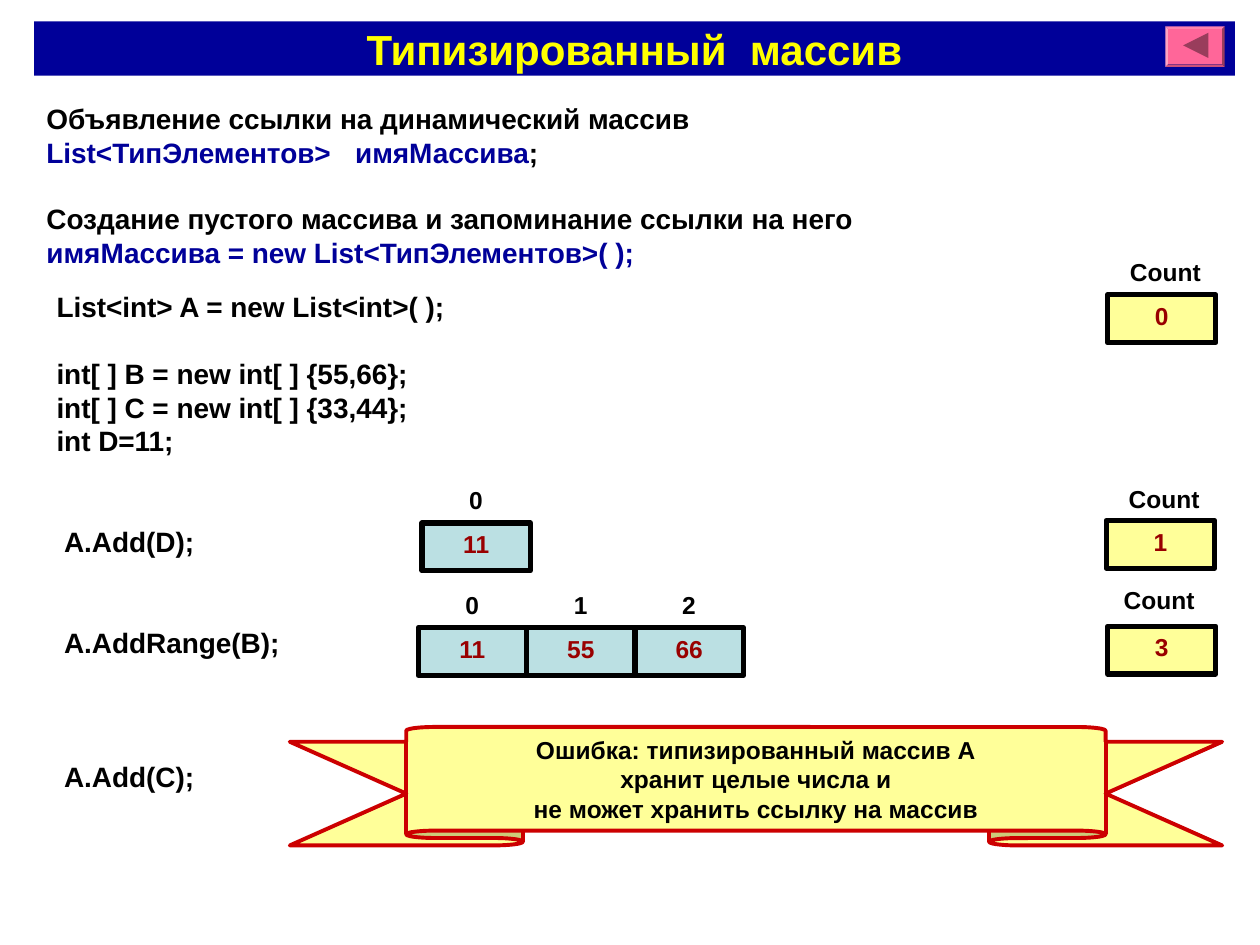
"""Build the slide about a typed dynamic array and its operations."""
from pptx import Presentation
from pptx.dml.color import RGBColor
from pptx.enum.shapes import MSO_SHAPE
from pptx.enum.text import MSO_ANCHOR, MSO_AUTO_SIZE, PP_ALIGN
from pptx.oxml.ns import qn
from pptx.util import Inches, Pt
from lxml import etree

RECTANGLE = MSO_SHAPE.RECTANGLE
BEVEL = MSO_SHAPE.BEVEL
TRIANGLE = MSO_SHAPE.ISOSCELES_TRIANGLE
RIBBON = MSO_SHAPE.UP_RIBBON
TOP, MIDDLE = MSO_ANCHOR.TOP, MSO_ANCHOR.MIDDLE
LEFT, CENTER = PP_ALIGN.LEFT, PP_ALIGN.CENTER

BLACK = RGBColor(0x00, 0x00, 0x00)
NAVY = RGBColor(0x00, 0x00, 0x99)
YELLOW = RGBColor(0xFF, 0xFF, 0x00)
PALE_YELLOW = RGBColor(0xFF, 0xFF, 0x99)
PALE_BLUE = RGBColor(0xBB, 0xE0, 0xE3)
DARK_RED = RGBColor(0x99, 0x00, 0x00)
RED = RGBColor(0xCC, 0x00, 0x00)
PINK = RGBColor(0xFF, 0x66, 0x99)
PLUM = RGBColor(0x99, 0x3D, 0x5C)

FONT = "Arial"
CODE_SIZE, LABEL_SIZE = 16, 14
CODE_LINE = 19.15
CODE_INDENT = 0.06
CELL_WIDTH, CELL_HEIGHT = 0.86, 0.38
INSET = 0.1

TITLE = "Типизированный  массив"
EXPLANATIONS = [
    (0.76, [[("Объявление ссылки на динамический массив", BLACK)],
            [("List<ТипЭлементов>\tимяМассива", NAVY), (";", BLACK)]]),
    (1.55, [[("Создание пустого массива и запоминание ссылки на него", BLACK)],
            [("имяМассива = new List<ТипЭлементов>( );", NAVY)]]),
]
CODE = [
    ("List<int> A = new List<int>( );", 0, False),
    ("int[ ] B = new int[ ] {55,66};", 1, False),
    ("int[ ] C = new int[ ] {33,44};", 0, False),
    ("int D=11;", 0, False),
    ("A.Add(D);", 2, True),
    ("A.AddRange(B);", 2, True),
    ("A.Add(C);", 3, True),
]
STATES = [
    {"values": ["11"], "array": (3.35, 4.15), "count": (8.78, 4.13), "label": (8.86, 3.79)},
    {"values": ["11", "55", "66"], "array": (3.32, 4.98), "count": (8.79, 4.97), "label": (8.82, 4.59)},
    {"values": [], "array": None, "count": (8.79, 2.34), "label": (8.87, 1.99)},
]
ERROR = ["Ошибка: типизированный массив A", "хранит целые числа и",
         "не может хранить ссылку на массив"]


def write(shape, lines, size, align=LEFT, anchor=TOP, wrap=True):
    """Fill a shape with lines, each a list of (text, colour) runs."""
    frame = shape.text_frame
    frame.word_wrap = wrap
    frame.vertical_anchor = anchor
    frame.auto_size = MSO_AUTO_SIZE.NONE
    for index, runs in enumerate(lines):
        paragraph = frame.paragraphs[0] if index == 0 else frame.add_paragraph()
        paragraph.alignment = align
        for text, color in runs:
            run = paragraph.add_run()
            run.text = text
            run.font.name = FONT
            run.font.size = Pt(size)
            run.font.bold = True
            run.font.color.rgb = color
    return frame.paragraphs


def add_text(shapes, box, lines, size, wrap=True):
    """Add a text box and return its paragraphs."""
    return write(shapes.add_textbox(*map(Inches, box)), lines, size, wrap=wrap)


def add_figure(shapes, kind, box, fill, line=None, line_width=0):
    """Add a filled preset shape with an optional outline."""
    shape = shapes.add_shape(kind, *map(Inches, box))
    shape.shadow.inherit = False
    shape.fill.solid()
    shape.fill.fore_color.rgb = fill
    if line is None:
        shape.line.fill.background()
    else:
        shape.line.color.rgb = line
        shape.line.width = Pt(line_width)
    return shape


def set_tabs(paragraph, positions, align):
    """Set the tab stops of a paragraph, in inches."""
    tabs = etree.SubElement(paragraph._p.get_or_add_pPr(), qn("a:tabLst"))
    for position in positions:
        etree.SubElement(tabs, qn("a:tab"), pos=str(Inches(position)), algn=align)


def add_cell(shapes, left, top, value, fill):
    """Add one memory cell with its value."""
    box = (left, top, CELL_WIDTH, CELL_HEIGHT)
    cell = add_figure(shapes, RECTANGLE, box, fill, BLACK, 3)
    write(cell, [[(value, DARK_RED)]], LABEL_SIZE, CENTER)


def add_state(slide, state):
    """Add the indexed array cells and the Count cell of one step."""
    shapes = slide.shapes.add_group_shape().shapes
    values = state["values"]
    if values:
        left, top = state["array"]
        indices = "".join(f"\t{index}" for index in range(len(values)))
        paragraph = add_text(shapes, (left, top - 0.35, 5.2, 0.35),
                             [[(indices, BLACK)]], LABEL_SIZE)[0]
        centers = [(index + 0.5) * CELL_WIDTH - INSET for index in range(len(values))]
        set_tabs(paragraph, centers, "ctr")
        for index, value in enumerate(values):
            add_cell(shapes, left + index * CELL_WIDTH, top, value, PALE_BLUE)
    add_cell(shapes, *state["count"], str(len(values)), PALE_YELLOW)
    add_text(shapes, (*state["label"], 0.76, 0.34), [[("Count", BLACK)]], LABEL_SIZE, wrap=False)


def add_title(slide):
    """Format the title bar."""
    title = slide.shapes.title
    title.left, title.top, title.width, title.height = map(Inches, (0.27, 0.17, 9.53, 0.43))
    title.fill.solid()
    title.fill.fore_color.rgb = NAVY
    write(title, [[(TITLE, YELLOW)]], 24, CENTER, MIDDLE)


def add_back_button(slide):
    """Add the bevelled button with its arrow."""
    button = add_figure(slide.shapes, BEVEL, (9.25, 0.21, 0.47, 0.32), PINK)
    button.adjustments[0] = 0.06
    arrow = add_figure(slide.shapes, TRIANGLE, (9.39, 0.26, 0.2, 0.2), PLUM)
    arrow.rotation = 270


def add_code(slide):
    """Add the code listing with gaps between its steps."""
    lines = [[(text, BLACK)] for text, _, _ in CODE]
    paragraphs = add_text(slide.shapes, (0.35, 2.25, 4.25, 4.9), lines, CODE_SIZE)
    for paragraph, (_, gap, indented) in zip(paragraphs, CODE):
        paragraph.space_before = Pt(gap * CODE_LINE)
        if indented:
            paragraph._p.get_or_add_pPr().set("marL", str(Inches(CODE_INDENT)))


def main():
    presentation = Presentation()
    presentation.slide_width, presentation.slide_height = Inches(10), Inches(7.5)
    slide = presentation.slides.add_slide(presentation.slide_layouts[5])
    add_title(slide)
    add_back_button(slide)
    for top, lines in EXPLANATIONS:
        paragraphs = add_text(slide.shapes, (0.27, top, 6.88, 0.64), lines, CODE_SIZE)
        set_tabs(paragraphs[1], [2.45], "l")
    add_code(slide)
    for state in STATES:
        add_state(slide, state)
    ribbon = add_figure(slide.shapes, RIBBON, (2.3, 5.77, 7.4, 0.94), PALE_YELLOW, RED, 2.25)
    ribbon.adjustments[0], ribbon.adjustments[1] = 0.125, 0.75
    write(ribbon, [[(line, BLACK)] for line in ERROR], LABEL_SIZE, CENTER, MIDDLE, wrap=False)
    presentation.save("out.pptx")


if __name__ == "__main__":
    main()
